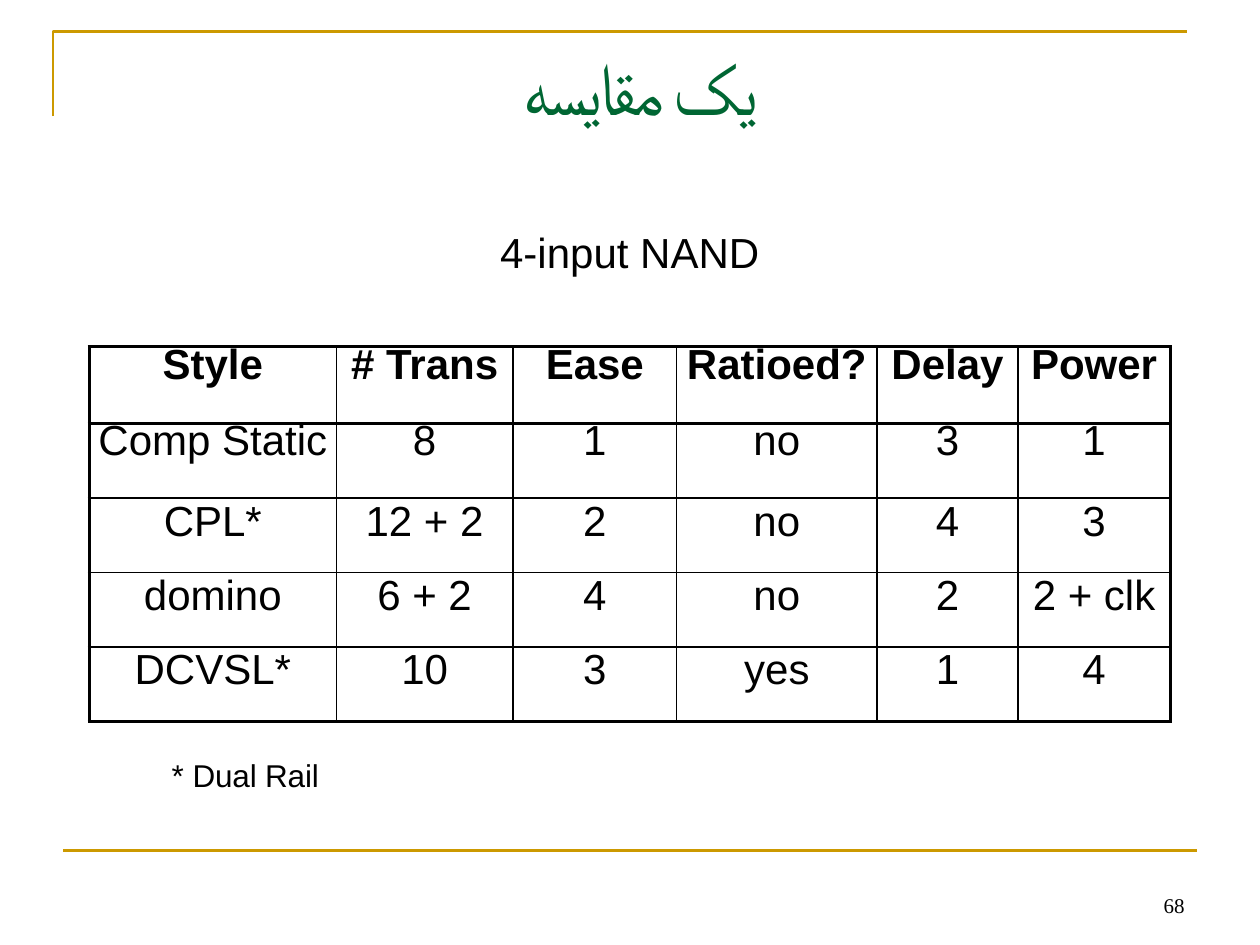
"""Build a slide comparing logic styles for a 4-input NAND gate."""
from dataclasses import dataclass

from lxml.etree import SubElement
from pptx import Presentation
from pptx.dml.color import RGBColor
from pptx.enum.shapes import MSO_CONNECTOR
from pptx.enum.text import MSO_ANCHOR as Anchor, MSO_AUTO_SIZE as AutoSize, PP_ALIGN as Align
from pptx.oxml import parse_xml
from pptx.oxml.ns import nsdecls, qn
from pptx.slide import Slide
from pptx.table import _Cell as Cell
from pptx.text.text import TextFrame, _Paragraph as Paragraph
from pptx.util import Cm, Pt

BLACK = RGBColor(0x00, 0x00, 0x00)
GOLD = RGBColor(0xCC, 0x99, 0x00)
GREEN = RGBColor(0x00, 0x66, 0x33)
SANS, SERIF = "Arial", "Times New Roman"
THIN, THICK = 1.02, 2.22

COLUMN_WIDTHS = (4.98, 3.56, 3.3, 4.04, 2.84, 3.07)
ROW_HEIGHTS = (1.55, 1.5, 1.5, 1.5, 1.5)
ROWS = (
    ("Style", "# Trans", "Ease", "Ratioed?", "Delay", "Power"),
    ("Comp Static", "8", "1", "no", "3", "1"),
    ("CPL*", "12 + 2", "2", "no", "4", "3"),
    ("domino", "6 + 2", "4", "no", "2", "2 + clk"),
    ("DCVSL*", "10", "3", "yes", "1", "4"),
)


@dataclass(frozen=True)
class Span:
    text: str
    size: float
    font: str = SANS
    color: RGBColor = BLACK
    bold: bool = False
    spacing: float = 0


@dataclass(frozen=True)
class Label:
    left: float
    top: float
    width: float
    height: float
    spans: tuple[Span, ...]
    align: Align = Align.LEFT
    anchor: Anchor = Anchor.TOP
    indent: float = 0
    before: float = 0
    padded: bool = True
    wrap: bool = True


LABELS = (
    Label(1.5, 15.24, 19.91, 0.76,
          (Span("* ", 18), Span("Dual Rail", 18, spacing=-0.1)), indent=1.96, padded=False),
    Label(9.8, 4.45, 5.79, 1.27, (Span("4-input NAND", 24),),
          Align.CENTER, before=13.5, wrap=False),
    Label(18.21, 17.35, 5.92, 1.27, (Span("68", 12, SERIF),), Align.RIGHT, Anchor.BOTTOM),
)


def add_span(para: Paragraph, span: Span) -> None:
    run = para.add_run()
    run.text = span.text
    font = run.font
    font.size, font.name, font.bold = Pt(span.size), span.font, span.bold
    font.color.rgb = span.color
    props = run._r.get_or_add_rPr()
    SubElement(props, qn("a:cs")).set("typeface", span.font)
    if span.spacing:
        props.set("spc", str(round(span.spacing * 100)))


def clear_margins(target: TextFrame | Cell) -> None:
    target.margin_left = target.margin_right = 0
    target.margin_top = target.margin_bottom = 0


def indent(para: Paragraph, distance: float) -> None:
    props = para._p.get_or_add_pPr()
    props.set("marL", str(Cm(distance)))
    props.set("indent", "0")


def add_label(page: Slide, label: Label) -> None:
    box = page.shapes.add_textbox(
        Cm(label.left), Cm(label.top), Cm(label.width), Cm(label.height))
    frame = box.text_frame
    frame.word_wrap = label.wrap
    frame.vertical_anchor = label.anchor
    if not label.padded:
        clear_margins(frame)
    para = frame.paragraphs[0]
    para.alignment = label.align
    if label.indent:
        indent(para, label.indent)
    if label.before:
        para.space_before = Pt(label.before)
    for span in label.spans:
        add_span(para, span)


def add_rules(page: Slide) -> None:
    left, top = Cm(1.07), Cm(0.64)
    builder = page.shapes.build_freeform(left, Cm(2.34))
    builder.add_line_segments([(left, top), (Cm(23.93), top)], close=False)
    corner = builder.convert_to_shape()
    corner.shadow.inherit = False
    corner.fill.background()
    level = Cm(17.15)
    footer = page.shapes.add_connector(
        MSO_CONNECTOR.STRAIGHT, Cm(1.27), level, Cm(24.13), level)
    SubElement(footer._element.spPr, qn("a:effectLst"))
    for rule in (corner, footer):
        rule.line.color.rgb = GOLD
        rule.line.width = Pt(1.5)


def format_title(page: Slide) -> None:
    title = page.shapes.title
    title.left, title.top, title.width, title.height = Cm(1.5), Cm(0.84), Cm(22.4), Cm(1.8)
    frame = title.text_frame
    frame.auto_size = AutoSize.NONE
    frame.vertical_anchor = Anchor.TOP
    clear_margins(frame)
    para = frame.paragraphs[0]
    para.alignment = Align.CENTER
    indent(para, 0.43)
    add_span(para, Span("یک مقایسه", 42, SERIF, GREEN, spacing=-2.5))


def set_borders(cell: Cell, row: int, column: int) -> None:
    last_row, last_column = len(ROWS) - 1, len(COLUMN_WIDTHS) - 1
    heavy = {
        "L": column == 0,
        "R": column == last_column,
        "T": row <= 1,
        "B": row in (0, last_row),
    }
    props = cell._tc.get_or_add_tcPr()
    for position, (side, is_heavy) in enumerate(heavy.items()):
        width = Pt(THICK if is_heavy else THIN)
        props.insert(position, parse_xml(
            f'<a:ln{side} {nsdecls("a")} w="{width}"><a:solidFill>'
            f'<a:srgbClr val="{BLACK}"/></a:solidFill></a:ln{side}>'))


def fill_cell(cell: Cell, text: str, row: int, column: int) -> None:
    clear_margins(cell)
    cell.fill.background()
    set_borders(cell, row, column)
    para = cell.text_frame.paragraphs[0]
    para.alignment = Align.CENTER
    if row <= 1:
        para.line_spacing = Pt(23.5)
    else:
        para.space_before = Pt(0.1)
    add_span(para, Span(text, 24, bold=row == 0))


def add_comparison(page: Slide) -> None:
    table = page.shapes.add_table(
        len(ROWS), len(COLUMN_WIDTHS), Cm(1.8), Cm(6.99),
        Cm(sum(COLUMN_WIDTHS)), Cm(sum(ROW_HEIGHTS))).table
    table.first_row = table.horz_banding = False
    for column, width in zip(table.columns, COLUMN_WIDTHS):
        column.width = Cm(width)
    for row, height in zip(table.rows, ROW_HEIGHTS):
        row.height = Cm(height)
    for row, texts in enumerate(ROWS):
        for column, text in enumerate(texts):
            fill_cell(table.cell(row, column), text, row, column)


def main() -> None:
    deck = Presentation()
    deck.slide_width, deck.slide_height = Cm(25.4), Cm(19.05)
    page = deck.slides.add_slide(deck.slide_layouts[5])
    add_rules(page)
    format_title(page)
    add_comparison(page)
    for label in LABELS:
        add_label(page, label)
    deck.save("out.pptx")


if __name__ == "__main__":
    main()
